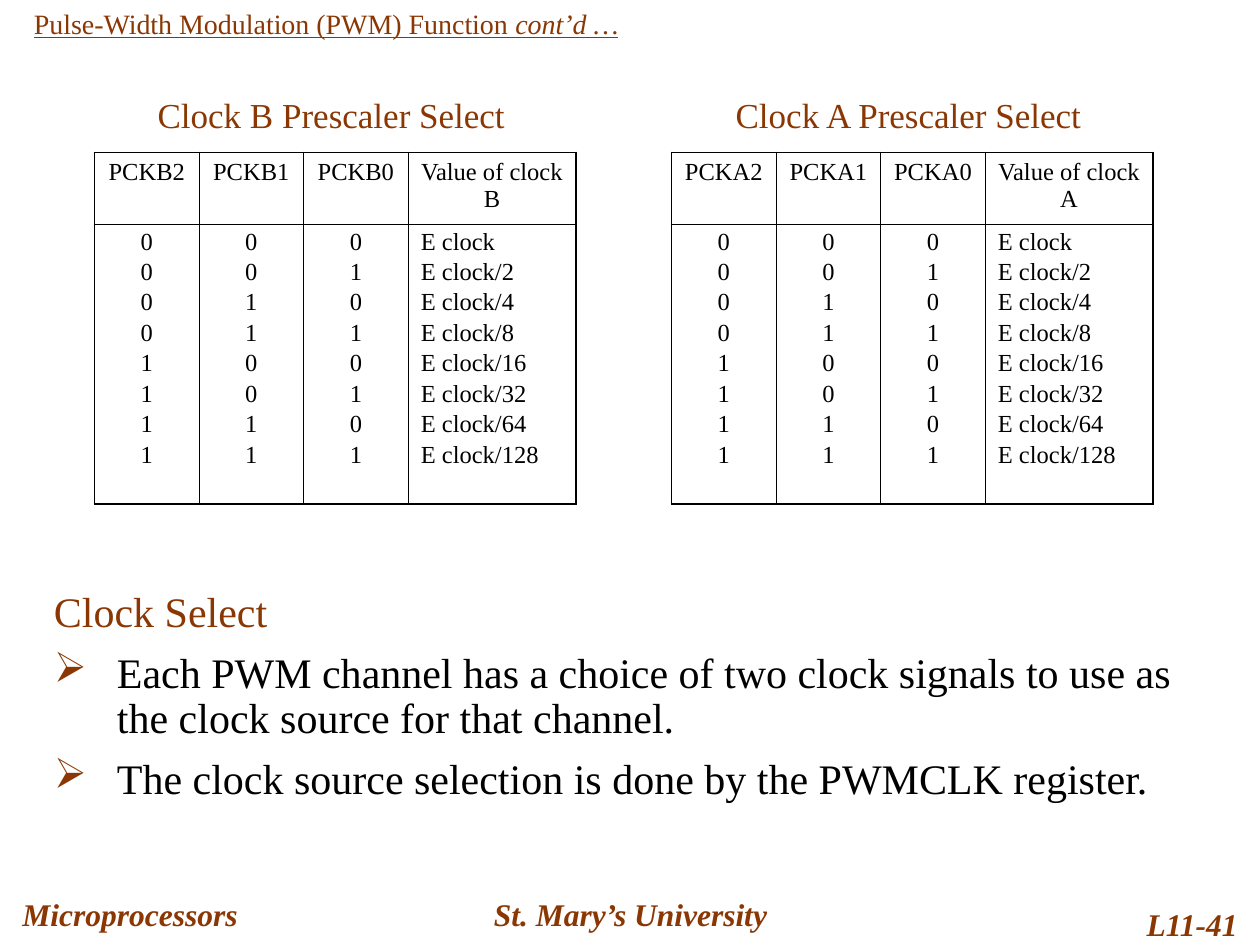
"""Build the PWM clock prescaler slide."""
from lxml import etree
from pptx import Presentation
from pptx import util as u
from pptx.dml.color import RGBColor
from pptx.enum import text as t
from pptx.oxml import ns

BROWN = RGBColor(0x8A, 0x37, 0x04)
BLACK = RGBColor(0, 0, 0)
FONT = "Times New Roman"
LEFT, MID, RIGHT = t.PP_ALIGN.LEFT, t.PP_ALIGN.CENTER, t.PP_ALIGN.RIGHT
THIN, THICK = 0.45, 1.08

TITLE = ["Pulse-Width Modulation (PWM) Function ", "cont’d …"]
FOOT = [
    ("Microprocessors", (0.08, 7, 2.42, 0.5), LEFT),
    ("St. Mary’s University", (3.42, 7, 3.17, 0.5), MID),
    ("L11-41", (8.67, 7.08, 1.25, 0.5), RIGHT),
]
CLOCKS = [("B", 0.75), ("A", 5.33)]
RATES = ["E clock"] + [f"E clock/{2 ** n}" for n in range(1, 8)]
BITS = (2, 1, 0)
COLS = (0.83, 0.83, 0.83, 1.33)
ROWS = (0.57, 2.22)
HEAD = "Clock Select"
POINTS = [
    "Each PWM channel has a choice of two clock signals to use as "
    "the clock source for that channel.",
    "The clock source selection is done by the PWMCLK register.",
]


def write(para, words, size=14, color=BLACK, align=LEFT, gap=0, line=None,
          bold=False, italic=False, under=False):
    """Write one paragraph; runs after the first are italic."""
    para.alignment = align
    para.space_before = u.Pt(gap)
    if line:
        para.line_spacing = line
    runs = [words] if isinstance(words, str) else words
    for i, word in enumerate(runs):
        run = para.add_run()
        run.text = word
        font = run.font
        font.name, font.size = FONT, u.Pt(size)
        font.bold, font.italic = bold, italic or i > 0
        font.underline = under
        font.color.rgb = color


def stack(frame, lines, gap=0, **fmt):
    """Write several paragraphs, with a gap between them."""
    for i, words in enumerate(lines):
        para = frame.add_paragraph() if i else frame.paragraphs[0]
        write(para, words, gap=gap if i else 0, **fmt)


def box(slide, place, grow=True):
    """Add a wrapping text box and return its frame."""
    frame = slide.shapes.add_textbox(*map(u.Inches, place)).text_frame
    frame.word_wrap = True
    if grow:
        frame.auto_size = t.MSO_AUTO_SIZE.SHAPE_TO_FIT_TEXT
    else:
        frame.vertical_anchor = t.MSO_ANCHOR.MIDDLE
    return frame


def hang(para, mark=None):
    """Give a paragraph a hanging indent and an optional bullet."""
    props = para._p.get_or_add_pPr()
    props.set("marL", str(u.Inches(0.5)))
    props.set("indent", str(-u.Inches(0.5)))
    if mark:
        tint = etree.SubElement(props, ns.qn("a:buClr"))
        etree.SubElement(tint, ns.qn("a:srgbClr"), val=str(BROWN))
        etree.SubElement(props, ns.qn("a:buChar"), char=mark)


def border(cell, **widths):
    """Draw the cell's edges, in the order given."""
    props = cell._tc.get_or_add_tcPr()
    for side, width in widths.items():
        edge = etree.SubElement(props, ns.qn(f"a:ln{side}"), w=str(u.Pt(width)))
        fill = etree.SubElement(edge, ns.qn("a:solidFill"))
        etree.SubElement(fill, ns.qn("a:srgbClr"), val=str(BLACK))


def grid(slide, name, left):
    """Add one captioned prescaler table."""
    place = (left, 1.21, sum(COLS), sum(ROWS))
    table = slide.shapes.add_table(2, len(COLS), *map(u.Inches, place)).table
    table.first_row = table.horz_banding = False
    for col, width in zip(table.columns, COLS):
        col.width = u.Inches(width)
    for row, height in zip(table.rows, ROWS):
        row.height = u.Inches(height)
    heads = [f"PCK{name}{b}" for b in BITS] + [f"Value of clock {name}"]
    codes = [[str(n >> b & 1) for n in range(8)] for b in BITS]
    last = len(COLS) - 1
    for c, (head, body) in enumerate(zip(heads, codes + [RATES])):
        top, low = table.cell(0, c), table.cell(1, c)
        write(top.text_frame.paragraphs[0], head, align=MID)
        stack(low.text_frame, body, gap=3.5, line=0.9,
              align=LEFT if c == last else MID)
        sides = {"L": THIN if c else THICK, "R": THICK if c == last else THIN}
        border(top, **sides, T=THICK, B=THIN)
        border(low, **sides, T=THIN, B=THICK)
        for cell in (top, low):
            cell.fill.background()
    frame = box(slide, (left - 0.08, 0.69, 3.92, 0.44))
    write(frame.paragraphs[0], f"Clock {name} Prescaler Select",
          size=20, color=BROWN, align=MID)


def main():
    """Lay out the slide and save it."""
    deck = Presentation()
    deck.slide_width, deck.slide_height = u.Inches(10), u.Inches(7.5)
    slide = deck.slides.add_slide(deck.slide_layouts[6])
    for words, place, align in FOOT:
        frame = box(slide, place, grow=False)
        write(frame.paragraphs[0], words, size=18, color=BROWN,
              align=align, bold=True, italic=True)
    frame = box(slide, (0.17, 0, 8.92, 0.37))
    write(frame.paragraphs[0], TITLE, size=16, color=BROWN, under=True)
    for name, left in CLOCKS:
        grid(slide, name, left)
    frame = box(slide, (0.33, 4.64, 9.42, 1.79))
    write(frame.paragraphs[0], HEAD, size=24, color=BROWN, line=0.9)
    hang(frame.paragraphs[0])
    for point in POINTS:
        para = frame.add_paragraph()
        write(para, point, size=24, gap=9, line=0.9)
        hang(para, "➢")
    deck.save("out.pptx")


if __name__ == "__main__":
    main()
